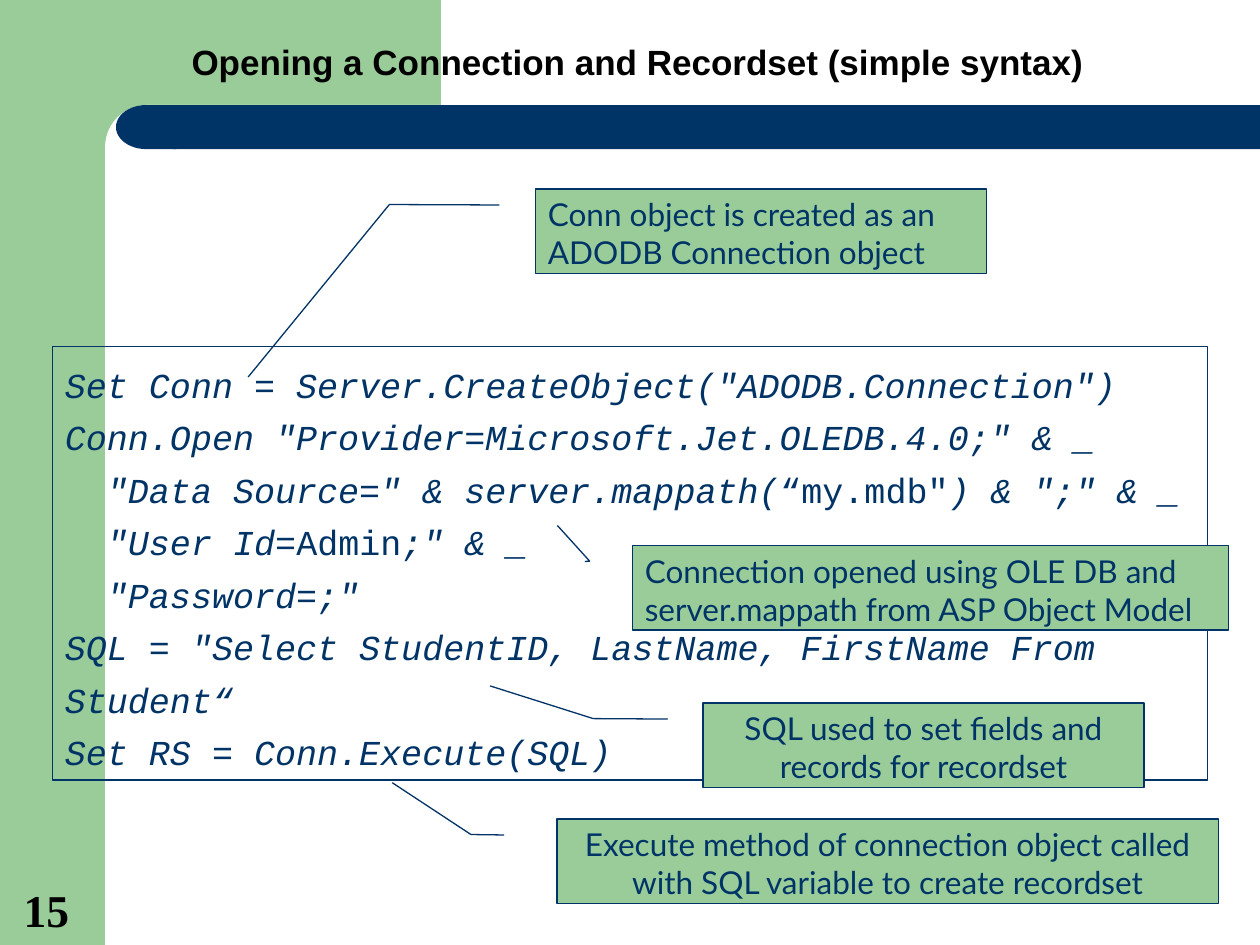
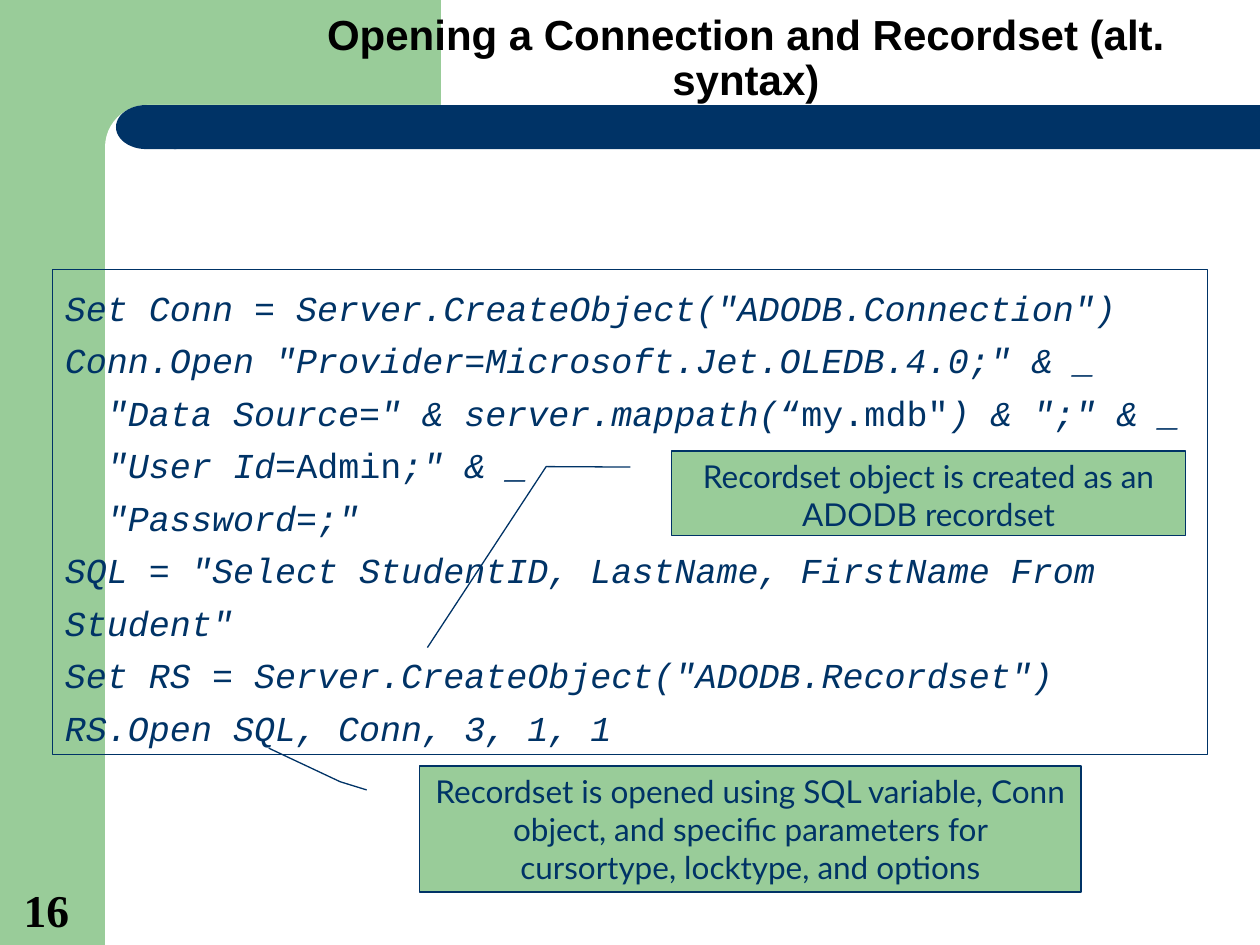
from pptx import Presentation
from pptx.dml.color import RGBColor
from pptx.enum.shapes import MSO_SHAPE as Preset
from pptx.enum.text import MSO_ANCHOR as Anchor, MSO_AUTO_SIZE as AutoSize, PP_ALIGN as Align
from pptx.util import Inches, Pt

GREEN = RGBColor(0x99, 0xCC, 0x99)
NAVY = RGBColor(0x00, 0x33, 0x66)
BLACK = RGBColor(0x00, 0x00, 0x00)
WHITE = RGBColor(0xFF, 0xFF, 0xFF)

WIDTH, HEIGHT = 10, 7.5
COLUMN = WIDTH / 12
BAR_TOP, BAR_HEIGHT = HEIGHT / 9, 0.35
CODE_LEFT, CODE_WIDTH = COLUMN / 2, 11 * COLUMN
CALLOUT_START = (0.19, -0.08)


def add_panel(slide, preset, box, fill=None, line=None):
    panel = slide.shapes.add_shape(preset, *map(Inches, box))
    panel.shadow.inherit = False
    if fill is None:
        panel.fill.background()
    else:
        panel.fill.solid()
        panel.fill.fore_color.rgb = fill
    if line is None:
        panel.line.fill.background()
    else:
        panel.line.color.rgb = line
        panel.line.width = Pt(0.75)
    return panel


def write_text(shape, lines, font, size, color, bold=False, italic=False,
               align=Align.LEFT, anchor=Anchor.TOP, spacing=1.0, auto_size=AutoSize.NONE):
    """Write one paragraph per line; parts between bars switch italics."""
    frame = shape.text_frame
    frame.word_wrap = True
    frame.auto_size = auto_size
    frame.vertical_anchor = anchor
    for index, line in enumerate(lines):
        paragraph = frame.paragraphs[0] if index == 0 else frame.add_paragraph()
        paragraph.alignment = align
        paragraph.line_spacing = spacing
        for part, text in enumerate(line.split("|")):
            run = paragraph.add_run()
            run.text = text
            run.font.name = font
            run.font.size = Pt(size)
            run.font.color.rgb = color
            run.font.bold = bold
            run.font.italic = italic and part % 2 == 0


OPENING_CODE = [
    'Set Conn = Server.CreateObject("ADODB.Connection")',
    'Conn.Open "Provider=Microsoft.Jet.OLEDB.4.0;" & _',
    '  "Data Source=" & server.mappath(|“my.mdb"|) & ";" & _',
    '  "User Id=|Admin|;" & _',
    '  "Password=;"',
]

# A callout holds its box, the bend and the end of its leader as (y, x) shares of
# that box, its alignment and its text.
SLIDES = [
    {
        "number": 15,
        "title": "Opening a Connection and Recordset (simple syntax)",
        "title_box": (1.42, 0.25, 8.33, 0.46),
        "title_size": 20,
        "title_align": Align.LEFT,
        "code_top": 2.75,
        "code_height": 3.44,
        "code": OPENING_CODE + [
            'SQL = "Select StudentID, LastName, FirstName From Student“',
            "Set RS = Conn.Execute(SQL)",
        ],
        "callouts": [
            ((4.25, 1.5, 3.58, 0.67), (0.185, -0.324), (2.227, -0.637), Align.LEFT,
             "Conn object is created as an ADODB Connection object"),
            ((5.02, 4.33, 4.73, 0.67), (0.185, -0.072), (-0.237, -0.126), Align.LEFT,
             "Connection opened using OLE DB and server.mappath from ASP Object Model"),
            ((5.58, 5.58, 3.5, 0.67), (0.185, -0.249), (-0.203, -0.483), Align.CENTER,
             "SQL used to set fields and records for recordset"),
            ((4.42, 6.5, 5.25, 0.67), (0.185, -0.13), (-0.43, -0.249), Align.CENTER,
             "Execute method of connection object called with SQL variable to create recordset"),
        ],
    },
    {
        "number": 16,
        "title": "Opening a Connection and Recordset (alt. syntax)",
        "title_box": (2.08, 0, 7.68, 0.88),
        "title_size": 24,
        "title_align": Align.CENTER,
        "code_top": 2.14,
        "code_height": 3.85,
        "code": OPENING_CODE + [
            'SQL = "Select StudentID, LastName, FirstName From Student"',
            'Set RS = Server.CreateObject("ADODB.Recordset")',
            "RS.Open SQL, Conn, 3, 1, 1",
        ],
        "callouts": [
            ((3.33, 6.08, 5.25, 1), (0.125, -0.12), (-0.142, -0.228), Align.CENTER,
             "Recordset is opened using SQL variable, Conn object, and specific "
             "parameters for cursortype, locktype, and options"),
            ((5.33, 3.58, 4.08, 0.67), (0.185, -0.244), (2.328, -0.475), Align.CENTER,
             "Recordset object is created as an ADODB recordset"),
        ],
    },
]

presentation = Presentation()
presentation.slide_width = Inches(WIDTH)
presentation.slide_height = Inches(HEIGHT)
title_only = presentation.slide_layouts[5]
slides = [presentation.slides.add_slide(title_only) for _ in SLIDES]

# The shared bands are drawn once and moved into the layout, behind its placeholders.
BANDS = [
    (Preset.RECTANGLE, (0, 0, COLUMN, HEIGHT), GREEN),
    (Preset.RECTANGLE, (0.75, 0, 2.75, 1.17), GREEN),
    (Preset.ROUNDED_RECTANGLE, (COLUMN, BAR_TOP, 5.58, 0.67), WHITE),
    (Preset.RECTANGLE, (1.38, BAR_TOP, WIDTH - 1.38, BAR_HEIGHT), NAVY),
    (Preset.FLOWCHART_DELAY, (0.92, BAR_TOP, 0.48, BAR_HEIGHT), NAVY),
]
for position, (preset, box, fill) in enumerate(BANDS):
    band = add_panel(slides[0], preset, box, fill=fill)
    if preset == Preset.ROUNDED_RECTANGLE:
        band.adjustments[0] = 0.5
    if preset == Preset.FLOWCHART_DELAY:
        band.rotation = 180
    title_only.shapes.element.insert(2 + position, band.element)

for slide, content in zip(slides, SLIDES):
    title = slide.shapes.title
    title.left, title.top, title.width, title.height = map(Inches, content["title_box"])
    write_text(title, [content["title"]], "Arial", content["title_size"], BLACK, bold=True,
               align=content["title_align"], anchor=Anchor.BOTTOM, spacing=0.9)

    code_box = (CODE_LEFT, content["code_top"], CODE_WIDTH, content["code_height"])
    code = add_panel(slide, Preset.RECTANGLE, code_box, line=NAVY)
    write_text(code, content["code"], "Courier New", 20, NAVY, italic=True,
               spacing=1.25, auto_size=AutoSize.SHAPE_TO_FIT_TEXT)

    for box, bend, end, align, text in content["callouts"]:
        callout = add_panel(slide, Preset.LINE_CALLOUT_2, box, fill=GREEN, line=NAVY)
        for index, share in enumerate(CALLOUT_START + bend + end):
            callout.adjustments[index] = share
        write_text(callout, [text], "Lato", 18, NAVY, align=align)

    number = slide.shapes.add_textbox(*map(Inches, (0.09, 6.94, 0.64, 0.54)))
    write_text(number, [str(content["number"])], "Times New Roman", 26, BLACK,
               bold=True, anchor=Anchor.BOTTOM)

presentation.save("out.pptx")
